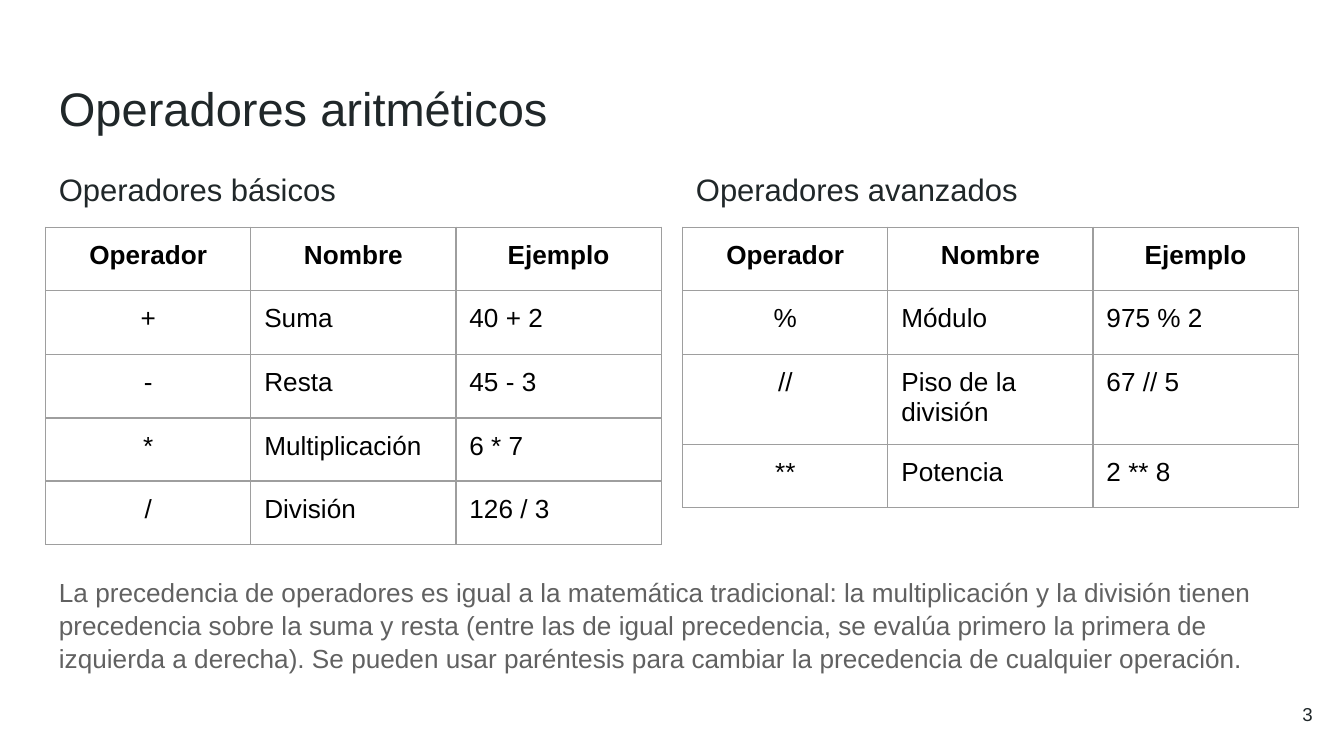
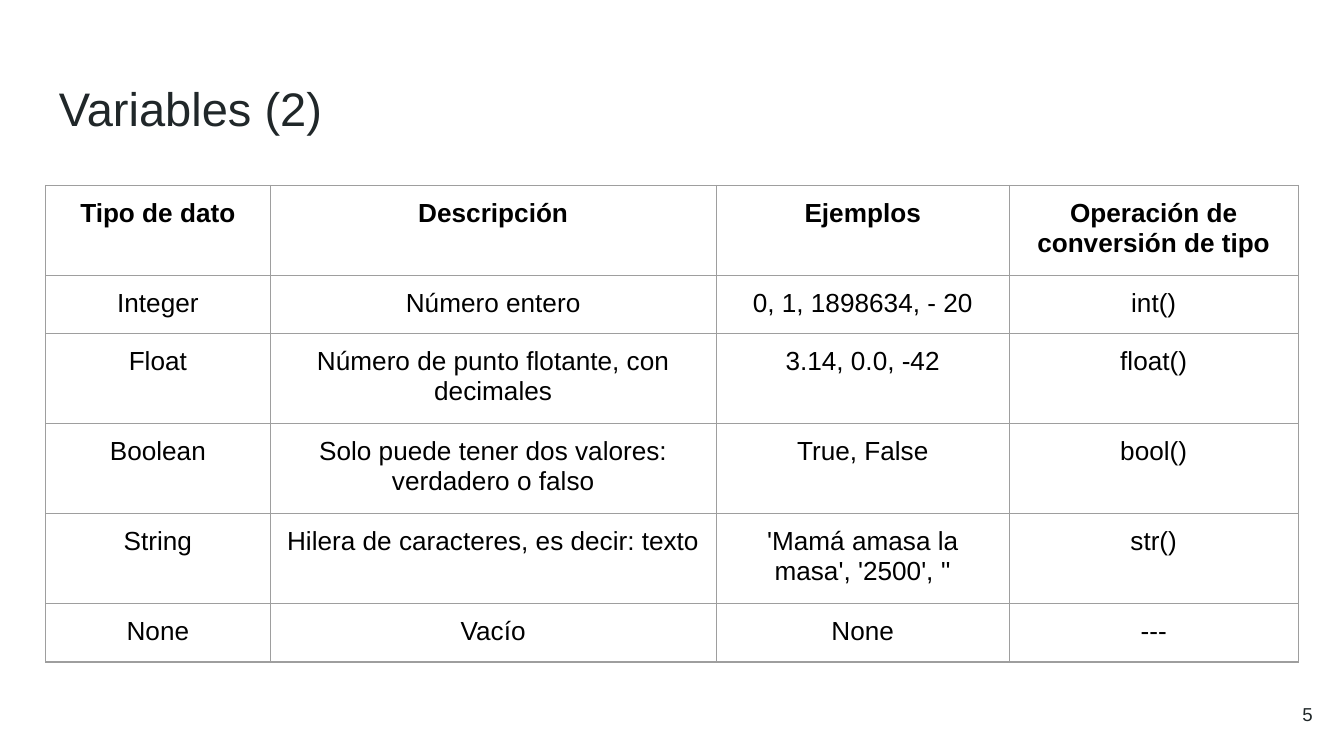
from dataclasses import dataclass

from lxml import etree
from pptx import Presentation
from pptx.dml.color import RGBColor
from pptx.enum.text import MSO_ANCHOR, PP_ALIGN
from pptx.oxml.ns import qn
from pptx.util import Inches, Pt

LEFT, CENTER, RIGHT = PP_ALIGN.LEFT, PP_ALIGN.CENTER, PP_ALIGN.RIGHT
TOP, MIDDLE = MSO_ANCHOR.TOP, MSO_ANCHOR.MIDDLE


@dataclass(frozen=True)
class Theme:
    font: str = "Arial"
    ink: str = "202729"
    muted: str = "616161"
    cell: str = "000000"
    border: str = "9E9E9E"
    border_width: float = 0.75
    title: float = 25.2
    subtitle: float = 16.6
    body: float = 14
    small: float = 10


class Deck:
    """Places elements on a grid of 12 columns and 45 rows."""

    WIDTH, HEIGHT = Inches(10), Inches(5.625)
    MARGIN, GUTTER, INSET = Inches(0.34), Inches(0.16), Inches(0.1)
    COLUMNS, ROWS = 12, 45

    def __init__(self, theme):
        self.theme = theme
        self.prs = Presentation()
        self.prs.slide_width, self.prs.slide_height = self.WIDTH, self.HEIGHT
        self.pitch = (self.WIDTH - 2 * self.MARGIN + self.GUTTER) / self.COLUMNS
        self.row = self.HEIGHT / self.ROWS
        self.s = None

    def area(self, cols, rows):
        """Turn (start, span) pairs of columns and rows into left, top, width, height."""
        return (int(self.MARGIN + cols[0] * self.pitch), int(rows[0] * self.row),
                int(cols[1] * self.pitch - self.GUTTER), int(rows[1] * self.row))

    def slide(self, title, number):
        self.s = self.prs.slides.add_slide(self.prs.slide_layouts[6])
        self.text(title, (0, 12), (3.92, 5.04), self.theme.title)
        self.text(str(number), (11.3, 0.96), (40.8, 3.44), self.theme.small,
                  align=RIGHT, anchor=MIDDLE)

    def style(self, p, size, color, align, bold=False):
        p.alignment = align
        p.font.name, p.font.size, p.font.bold = self.theme.font, Pt(size), bold
        p.font.color.rgb = RGBColor.from_string(color)

    def text(self, text, cols, rows, size, color=None, align=LEFT, anchor=TOP, spacing=1.0):
        tf = self.s.shapes.add_textbox(*self.area(cols, rows)).text_frame
        tf.word_wrap, tf.vertical_anchor = True, anchor
        tf.margin_left = tf.margin_right = tf.margin_top = tf.margin_bottom = self.INSET
        p = tf.paragraphs[0]
        p.text, p.line_spacing = text, spacing
        self.style(p, size, color or self.theme.ink, align)

    def subtitle(self, text, cols):
        self.text(text, cols, (9.36, 3.6), self.theme.subtitle)

    def note(self, text):
        self.text(text, (0, 12), (33.44, 9.12), self.theme.body, self.theme.muted, spacing=1.05)

    def table(self, data, cols, top, heights, weights, aligns):
        """Draw a table with a bold first row; weights share out its width."""
        area = self.area(cols, (top, sum(heights)))
        table = self.s.shapes.add_table(len(data), len(weights), *area).table
        table.first_row = table.horz_banding = False
        for column, weight in zip(table.columns, weights):
            column.width = int(area[2] * weight / sum(weights))
        for i, (values, height) in enumerate(zip(data, heights)):
            table.rows[i].height = int(height * self.row)
            for j, value in enumerate(values):
                align = aligns[j] if i else CENTER
                self.cell(table.cell(i, j), value, align, bold=i == 0)

    def cell(self, cell, value, align, bold):
        cell.margin_left = cell.margin_right = self.INSET
        cell.margin_top = cell.margin_bottom = self.INSET
        cell.vertical_anchor = TOP
        cell.fill.background()
        p = cell.text_frame.paragraphs[0]
        p.text = value
        self.style(p, self.theme.body, self.theme.cell, align, bold)
        self.borders(cell)

    def borders(self, cell):
        tc_pr = cell._tc.get_or_add_tcPr()
        for i, side in enumerate(("a:lnL", "a:lnR", "a:lnT", "a:lnB")):
            ln = etree.Element(qn(side), w=str(Pt(self.theme.border_width)))
            fill = etree.SubElement(ln, qn("a:solidFill"))
            etree.SubElement(fill, qn("a:srgbClr"), val=self.theme.border)
            tc_pr.insert(i, ln)


OPERATOR_HEADER = ("Operador", "Nombre", "Ejemplo")
OPERATORS = (
    ("Operadores básicos", (
        ("+", "Suma", "40 + 2"),
        ("-", "Resta", "45 - 3"),
        ("*", "Multiplicación", "6 * 7"),
        ("/", "División", "126 / 3"),
    )),
    ("Operadores avanzados", (
        ("%", "Módulo", "975 % 2"),
        ("//", "Piso de la división", "67 // 5"),
        ("**", "Potencia", "2 ** 8"),
    )),
)
PRECEDENCE = (
    "La precedencia de operadores es igual a la matemática tradicional: la multiplicación "
    "y la división tienen precedencia sobre la suma y resta (entre las de igual precedencia, "
    "se evalúa primero la primera de izquierda a derecha). Se pueden usar paréntesis para "
    "cambiar la precedencia de cualquier operación."
)
DATA_TYPES = (
    ("Tipo de dato", "Descripción", "Ejemplos", "Operación de conversión de tipo"),
    ("Integer", "Número entero", "0, 1, 1898634, - 20", "int()"),
    ("Float", "Número de punto flotante, con decimales", "3.14, 0.0, -42", "float()"),
    ("Boolean", "Solo puede tener dos valores: verdadero o falso", "True, False", "bool()"),
    ("String", "Hilera de caracteres, es decir: texto", "'Mamá amasa la masa', '2500', ''",
     "str()"),
    ("None", "Vacío", "None", "---"),
)


def operators_slide(deck):
    deck.slide("Operadores aritméticos", 3)
    for i, (name, operators) in enumerate(OPERATORS):
        cols = (6 * i, 6)
        heights = [3.76, 3.84] + [3.76] * (len(operators) - 1)
        deck.subtitle(name, cols)
        deck.table((OPERATOR_HEADER, *operators), cols, 13.52, heights,
                   (1, 1, 1), (CENTER, LEFT, LEFT))
    deck.note(PRECEDENCE)


def variables_slide(deck):
    one_line, two_lines = 3.44, 5.36
    deck.slide("Variables (2)", 5)
    deck.table(DATA_TYPES, (0, 12), 11.04,
               (two_lines, one_line, two_lines, two_lines, two_lines, one_line),
               (1.67, 3.32, 2.18, 2.15), [CENTER] * 4)


def main():
    deck = Deck(Theme())
    operators_slide(deck)
    variables_slide(deck)
    deck.prs.save("out.pptx")


if __name__ == "__main__":
    main()
